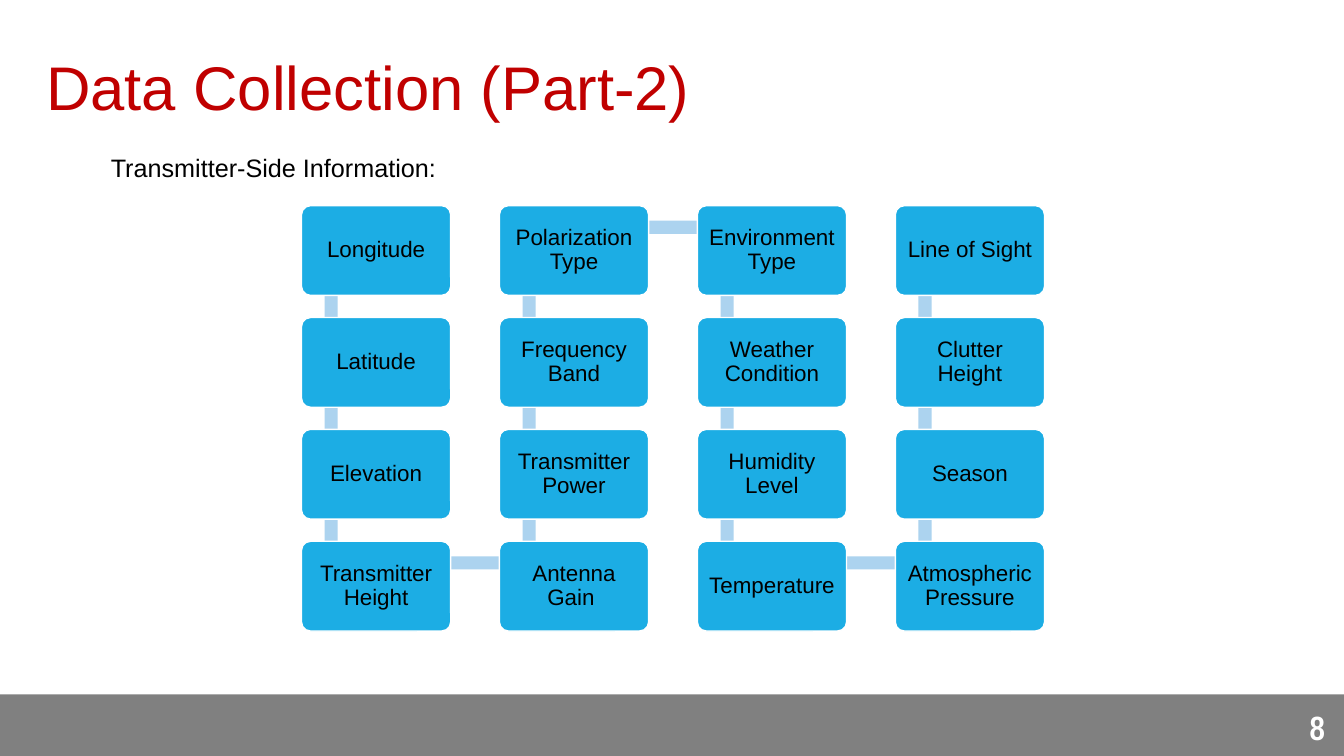
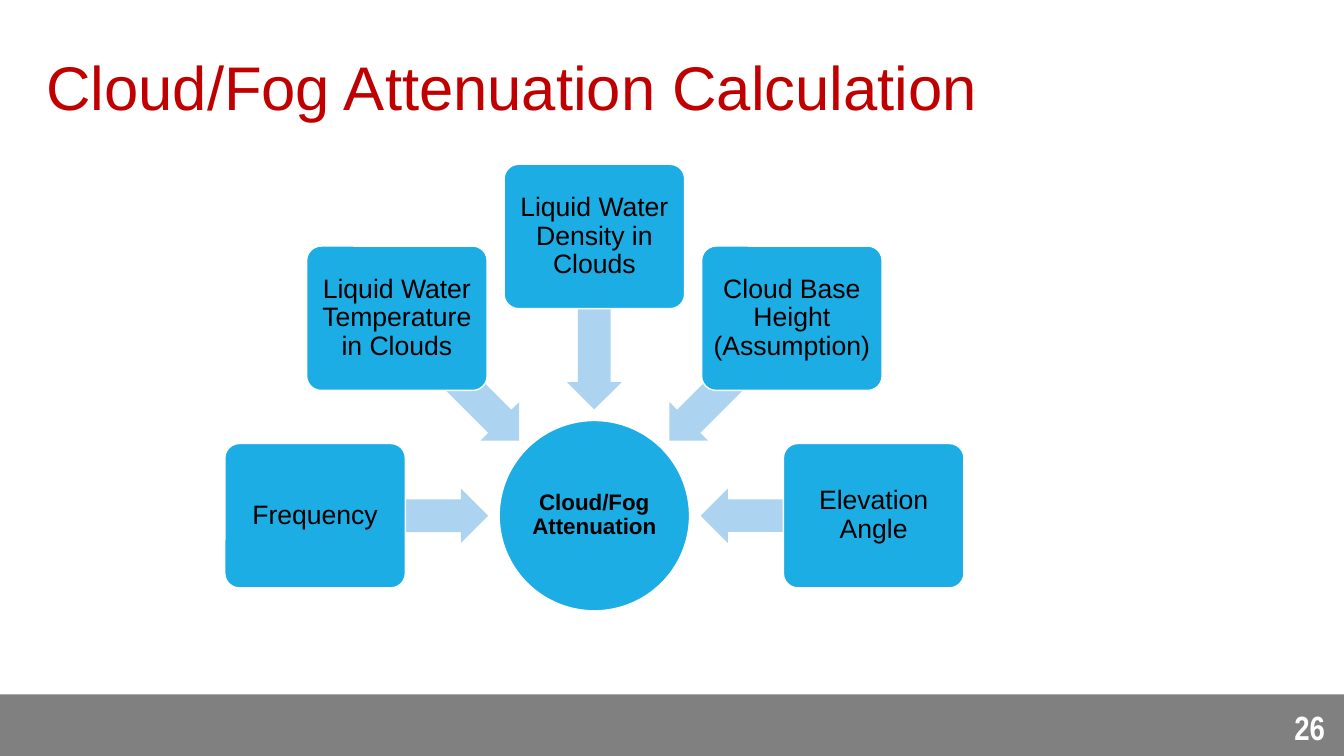
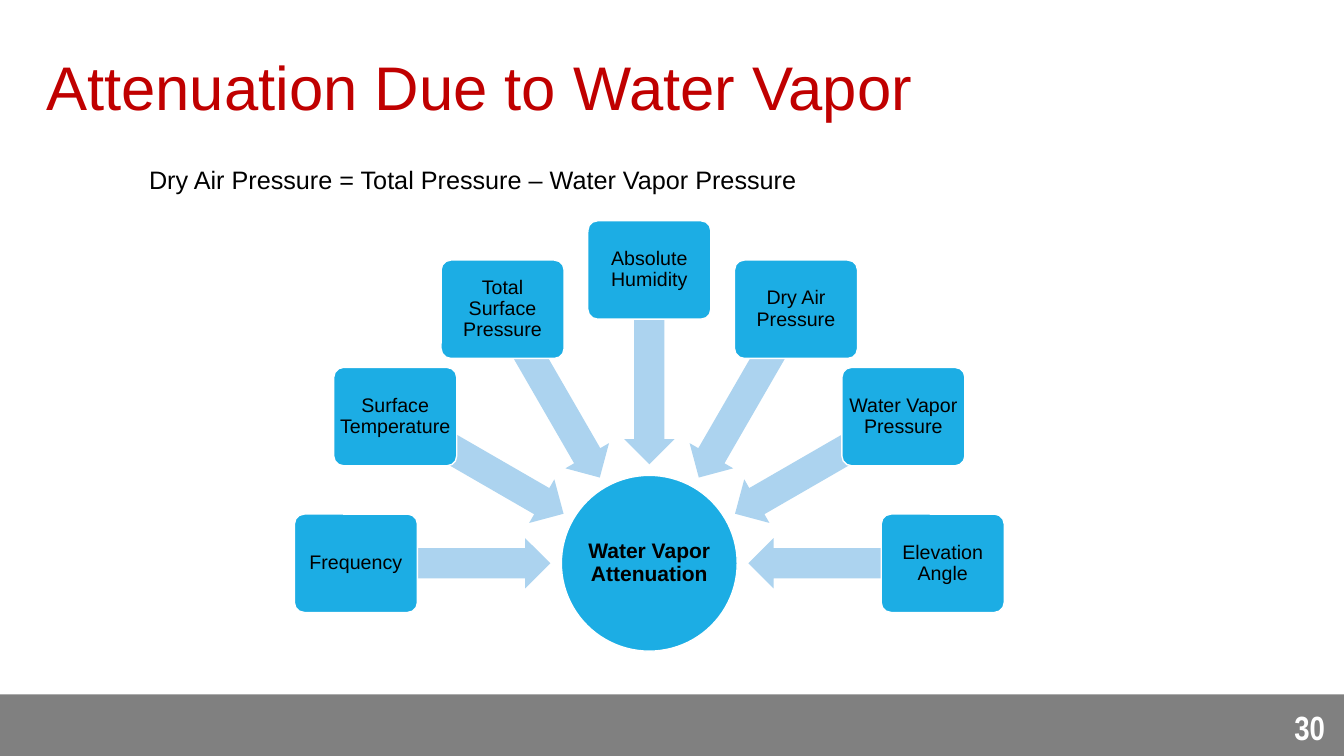
from dataclasses import dataclass
from math import cos, radians, sin

from pptx import Presentation
from pptx.dml.color import RGBColor
from pptx.enum.shapes import MSO_SHAPE
from pptx.enum.text import MSO_ANCHOR, PP_ALIGN
from pptx.util import Inches, Pt

RECT, ROUND = MSO_SHAPE.RECTANGLE, MSO_SHAPE.ROUNDED_RECTANGLE
OVAL, ARROW = MSO_SHAPE.OVAL, MSO_SHAPE.LEFT_ARROW
MIDDLE, TOP, BOTTOM = MSO_ANCHOR.MIDDLE, MSO_ANCHOR.TOP, MSO_ANCHOR.BOTTOM
LEFT, CENTER, RIGHT = PP_ALIGN.LEFT, PP_ALIGN.CENTER, PP_ALIGN.RIGHT


@dataclass(frozen=True)
class Theme:
    font: str = "Arial"
    number_font: str = "Arial Narrow"
    title: str = "C00000"
    text: str = "000000"
    white: str = "FFFFFF"
    band: str = "808080"
    node: str = "1CADE4"
    link: str = "ACD3EF"
    title_size: int = 44
    number_size: int = 24
    note_size: int = 18
    grid_size: int = 16


THEME = Theme()
SLIDE_W, SLIDE_H = 13.33, 7.5

# Column by column, each read from top to bottom
TRANSMITTER_COLUMNS = [
    ["Longitude", "Latitude", "Elevation", "Transmitter Height"],
    ["Polarization Type", "Frequency Band", "Transmitter Power", "Antenna Gain "],
    ["Environment Type", "Weather Condition", "Humidity Level", "Temperature"],
    ["Line of Sight", "Clutter Height", "Season", "Atmospheric Pressure"],
]
CLOUD_INPUTS = ["Frequency", "Liquid Water Temperature in Clouds",
                "Liquid Water Density in Clouds",
                "Cloud Base Height (Assumption)", "Elevation Angle"]
VAPOR_INPUTS = ["Frequency", "Surface Temperature", "Total Surface Pressure",
                "Absolute Humidity", "Dry Air Pressure",
                "Water Vapor Pressure", "Elevation Angle"]


def write(sp, text, size, color=THEME.text, font=THEME.font, bold=False,
          align=LEFT, anchor=TOP, spacing=1.0, inset=None):
    tf = sp.text_frame
    frame = {"word_wrap": True, "vertical_anchor": anchor}
    if inset is not None:
        frame.update({f"margin_{side}": Inches(inset)
                      for side in ("left", "top", "right", "bottom")})
    p = tf.paragraphs[0]
    r = p.add_run()
    r.text = text
    r.font.color.rgb = RGBColor.from_string(color)
    formats = [
        (tf, frame),
        (p, {"alignment": align, "line_spacing": spacing}),
        (r.font, {"name": font, "size": Pt(size), "bold": bold}),
    ]
    for target, values in formats:
        for name, value in values.items():
            setattr(target, name, value)


def add_text(slide, box, text, size, **style):
    write(slide.shapes.add_textbox(*map(Inches, box)), text, size, **style)


def add_block(slide, kind, box, fill, adjustments=(), rotation=0):
    sp = slide.shapes.add_shape(kind, *map(Inches, box))
    sp.shadow.inherit = False
    sp.fill.solid()
    sp.fill.fore_color.rgb = RGBColor.from_string(fill)
    sp.line.fill.background()
    sp.rotation = rotation
    for i, value in enumerate(adjustments):
        sp.adjustments[i] = value
    return sp


def add_node(slide, kind, box, text, size, inset, bold=False):
    sp = add_block(slide, kind, box, THEME.node, [0.1] if kind == ROUND else [])
    sp.line.color.rgb = RGBColor.from_string(THEME.white)
    sp.line.width = Pt(1)
    write(sp, text, size, bold=bold, align=CENTER, anchor=MIDDLE,
          spacing=0.9, inset=inset)


def add_base(prs, title, number):
    """Blank slide with the shared band, title and slide number."""
    slide = prs.slides.add_slide(prs.slide_layouts[6])
    add_block(slide, RECT, (0, 6.89, SLIDE_W, 0.63), THEME.band)
    add_text(slide, (0.36, 0.5, 12.63, 0.8), title, THEME.title_size,
             color=THEME.title, anchor=MIDDLE, spacing=0.9)
    add_text(slide, (12.5, 7, 0.74, 0.46), str(number), THEME.number_size,
             color=THEME.white, font=THEME.number_font, bold=True,
             align=RIGHT, anchor=BOTTOM)
    return slide


def add_snake(slide, box, columns, node_w=1.48, node_h=0.89, bar=0.13):
    """Grid of nodes joined down one column and up the next."""
    left, top, width, height = box
    rows = len(columns[0])
    step_x = (width - node_w) / (len(columns) - 1)
    step_y = (height - node_h) / (rows - 1)
    spots = [(left + c * step_x, top + r * step_y, text)
             for c, column in enumerate(columns)
             for r, text in enumerate(column)]
    # Bars between rows
    for i, (x, y, _) in enumerate(spots):
        if i % rows < rows - 1:
            add_block(slide, RECT, (x + 0.23, y + 0.22, bar, step_y), THEME.link)
    # Bars between columns, in turn at the bottom and the top
    for c in range(len(columns) - 1):
        x, y, _ = spots[c * rows + (rows - 1 if c % 2 == 0 else 0)]
        add_block(slide, RECT, (x + 0.3, y + 0.15, step_x, bar), THEME.link)
    for x, y, text in spots:
        add_node(slide, ROUND, (x, y, node_w, node_h), text,
                 THEME.grid_size, inset=0.07)


def add_radial(slide, box, hub, hub_size, inputs, input_size,
               node_w, arrow_h, inset, gap=0.11):
    """Half circle of inputs pointing at a hub on the bottom of the box."""
    left, top, width, height = box
    node_h = 0.8 * node_w
    radius = (width - node_w) / 2
    cx, cy = left + width / 2, top + node_h / 2 + radius
    hub_r = top + height - cy
    arrow_w = radius - hub_r - gap
    arrow_r = radius - arrow_w / 2

    def around(distance, angle, w, h):
        return (cx + distance * cos(angle) - w / 2,
                cy + distance * sin(angle) - h / 2, w, h)

    add_node(slide, OVAL, around(0, 0, 2 * hub_r, 2 * hub_r), hub, hub_size,
             inset=0.01, bold=True)
    for i, text in enumerate(inputs):
        degrees = 180 + i * 180 / (len(inputs) - 1)
        angle = radians(degrees)
        add_block(slide, ARROW, around(arrow_r, angle, arrow_w, arrow_h),
                  THEME.link, [0.6, 0.5], degrees % 360)
        add_node(slide, ROUND, around(radius, angle, node_w, node_h), text,
                 input_size, inset)


def main():
    prs = Presentation()
    prs.slide_width, prs.slide_height = Inches(SLIDE_W), Inches(SLIDE_H)

    # Transmitter data
    slide = add_base(prs, "Data Collection (Part-2)", 8)
    add_snake(slide, (2.99, 2.04, 7.37, 4.22), TRANSMITTER_COLUMNS)
    add_text(slide, (1, 1.46, 3.52, 0.4), "Transmitter-Side Information:",
             THEME.note_size)

    # Cloud and fog
    slide = add_base(prs, "Cloud/Fog Attenuation Calculation", 26)
    add_radial(slide, (2.23, 1.63, 7.33, 4.43), "Cloud/Fog Attenuation", 16,
               CLOUD_INPUTS, 19, node_w=1.79, arrow_h=0.54, inset=0.04)

    # Water vapor
    slide = add_base(prs, "Attenuation Due to Water Vapor", 30)
    add_text(slide, (1.38, 1.58, 6.68, 0.4),
             "Dry Air Pressure = Total Pressure – Water Vapor Pressure",
             THEME.note_size)
    add_radial(slide, (2.92, 2.19, 7.04, 4.27), "Water Vapor Attenuation", 15,
               VAPOR_INPUTS, 14, node_w=1.22, arrow_h=0.5, inset=0.03)

    prs.save("out.pptx")


if __name__ == "__main__":
    main()
